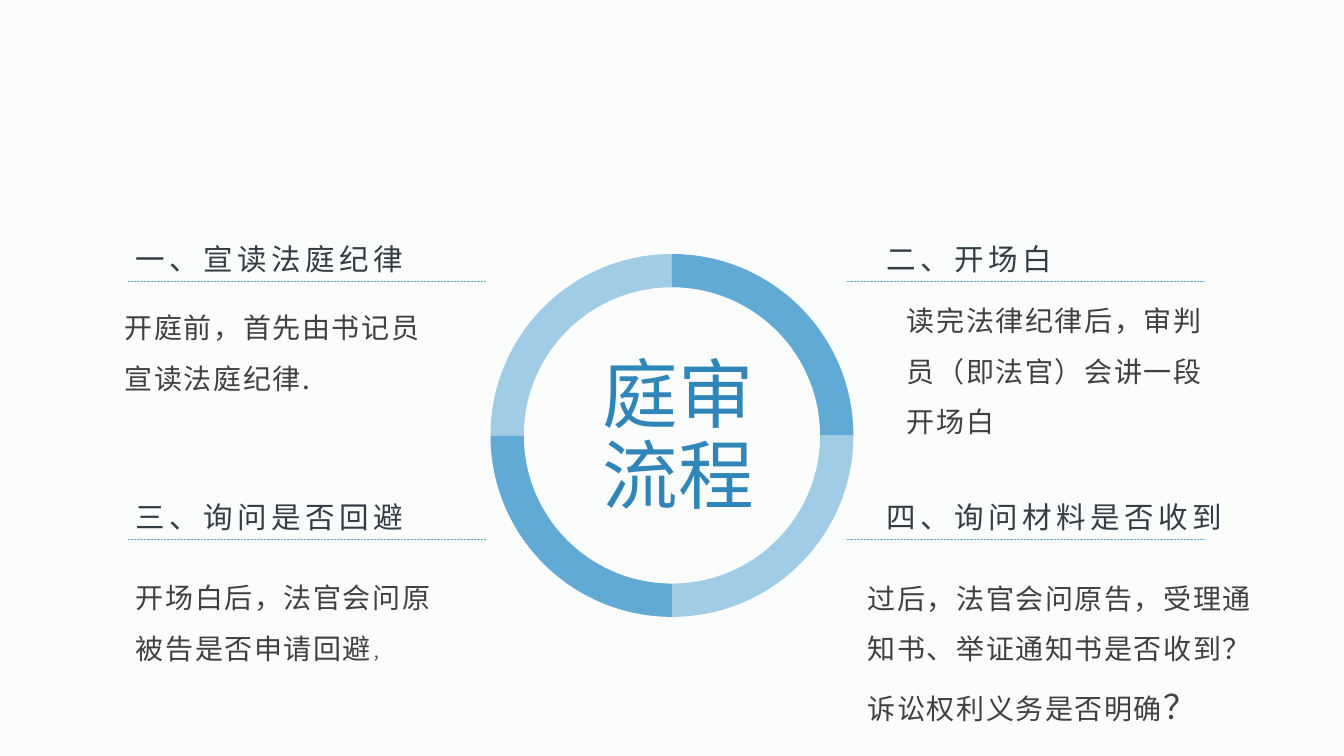
"""Build a slide showing the four steps of a court hearing around a ring."""
from math import cos, radians, sin

from lxml.etree import SubElement
from pptx import Presentation
from pptx.dml.color import RGBColor
from pptx.enum.dml import MSO_LINE
from pptx.enum.shapes import MSO_CONNECTOR
from pptx.enum.text import MSO_ANCHOR, MSO_AUTO_SIZE
from pptx.oxml.ns import qn
from pptx.util import Inches, Pt

FONT = "Noto Sans CJK SC"
BACKGROUND = RGBColor(0xFB, 0xFC, 0xFC)
HEADING = RGBColor(0x33, 0x3D, 0x43)
BODY = RGBColor(0x40, 0x40, 0x40)
BLUE = RGBColor(0x61, 0xAA, 0xD6)
PALE_BLUE = RGBColor(0xA0, 0xCC, 0xE6)
TITLE = RGBColor(0x30, 0x86, 0xB9)

SLIDE_WIDTH, SLIDE_HEIGHT = 40 / 3, 7.5
TITLE_LINES = [[("庭审", 54)], [("流程", 54)]]
TITLE_BOX = (5.88, 3.79, 10.86, 1.12)

STEPS = [
    {"heading": "一、宣读法庭纪律", "column": 0, "row": 0, "heading_width": 3.36,
     "body": [("开庭前，首先由书记员宣读法庭纪律.", 20)],
     "body_box": (1.14, 2.86, 3.26, 1.11)},
    {"heading": "二、开场白", "column": 1, "row": 0, "heading_width": 2.77,
     "body": [("读完法律纪律后，审判员（即法官）会讲一段开场白", 20)],
     "body_box": (8.9, 2.79, 3.26, 1.61)},
    {"heading": "三、询问是否回避", "column": 0, "row": 1, "heading_width": 3.26,
     "body": [("开场白后，法官会问原被告是否申请回避", 20), ("，", 11.1)],
     "body_box": (1.25, 5.54, 3.26, 1.11)},
    {"heading": "四、询问材料是否收到", "column": 1, "row": 1, "heading_width": 3.91,
     "body": [("过后，法官会问原告，受理通知书、举证通知书是否收到？诉讼权利义务是否明确", 20),
              ("？", 24)],
     "body_box": (8.51, 5.54, 4.09, 1.72)},
]
HEADING_LEFT = (1.25, 8.7)
HEADING_TOP = (2.34, 4.9)
HEADING_HEIGHT = 0.46
RULE_LEFT = (1.27, 8.4)
RULE_TOP = (2.79, 5.35)
RULE_WIDTH = 3.55

RING_CENTER = (SLIDE_WIDTH / 2, 4.32)
OUTER_RADIUS, INNER_RADIUS = 1.8, 1.47
QUADRANT_COLORS = (PALE_BLUE, BLUE, PALE_BLUE, BLUE)
CURVE_HANDLE = 4 / 3 * (2 ** 0.5 - 1)


def add_text(slide, box, lines, color, spacing=0, line_spacing=None, grow=True):
    """Add a text box whose lines are lists of (text, size) runs."""
    frame = slide.shapes.add_textbox(*map(Inches, box)).text_frame
    frame.word_wrap = True
    frame.vertical_anchor = MSO_ANCHOR.MIDDLE
    frame.auto_size = MSO_AUTO_SIZE.SHAPE_TO_FIT_TEXT if grow else MSO_AUTO_SIZE.NONE
    for index, line in enumerate(lines):
        paragraph = frame.add_paragraph() if index else frame.paragraphs[0]
        paragraph.line_spacing = line_spacing
        for text, size in line:
            run = paragraph.add_run()
            run.text = text
            run.font.size = Pt(size)
            run.font.color.rgb = color
            run.font.name = FONT
            properties = run._r.get_or_add_rPr()
            if spacing:
                properties.set("spc", str(round(spacing * 100)))
            SubElement(properties, qn("a:ea")).set("typeface", FONT)


def add_rule(slide, left, top):
    """Add the dotted rule below a heading."""
    rule = slide.shapes.add_connector(
        MSO_CONNECTOR.STRAIGHT, Inches(left), Inches(top),
        Inches(left + RULE_WIDTH), Inches(top))
    rule.line.color.rgb = BLUE
    rule.line.width = Pt(0.5)
    rule.line.dash_style = MSO_LINE.ROUND_DOT
    SubElement(rule._element.spPr, qn("a:effectLst"))


def quarter_curve(radius, start):
    """Return start, two handles and end of a clockwise quarter circle."""
    x, y = RING_CENTER
    across, down = cos(radians(start)), sin(radians(start))
    steps = ((1, 0), (1, CURVE_HANDLE), (CURVE_HANDLE, 1), (0, 1))
    return [(Inches(x + radius * (along * across - turn * down)),
             Inches(y + radius * (along * down + turn * across)))
            for along, turn in steps]


def bend(segments):
    """Merge three straight segments into one Bezier curve."""
    curve = segments[0].makeelement(qn("a:cubicBezTo"))
    segments[0].addprevious(curve)
    for segment in segments:
        curve.append(segment[0])
        segment.getparent().remove(segment)


def add_quadrant(slide, start, color):
    """Add one quarter of the ring."""
    outline = quarter_curve(OUTER_RADIUS, start) + quarter_curve(INNER_RADIUS, start)[::-1]
    builder = slide.shapes.build_freeform(*outline[0])
    builder.add_line_segments(outline[1:], close=True)
    quadrant = builder.convert_to_shape()
    segments = list(quadrant._element.iter(qn("a:lnTo")))
    bend(segments[:3])
    bend(segments[4:7])
    quadrant.shadow.inherit = False
    quadrant.fill.solid()
    quadrant.fill.fore_color.rgb = color
    quadrant.line.fill.background()


def main():
    """Build and save the slide."""
    presentation = Presentation()
    presentation.slide_width = Inches(SLIDE_WIDTH)
    presentation.slide_height = Inches(SLIDE_HEIGHT)
    slide = presentation.slides.add_slide(presentation.slide_layouts[6])
    slide.background.fill.solid()
    slide.background.fill.fore_color.rgb = BACKGROUND

    for index, color in enumerate(QUADRANT_COLORS):
        add_quadrant(slide, index * 90, color)
    for step in STEPS:
        column, row = step["column"], step["row"]
        heading_box = (HEADING_LEFT[column], HEADING_TOP[row],
                       step["heading_width"], HEADING_HEIGHT)
        add_text(slide, heading_box, [[(step["heading"], 21.1)]], HEADING, spacing=3.2)
        add_rule(slide, RULE_LEFT[column], RULE_TOP[row])
        add_text(slide, step["body_box"], [step["body"]], BODY,
                 spacing=1.1, line_spacing=1.5)
    add_text(slide, TITLE_BOX, TITLE_LINES, TITLE, line_spacing=0.9, grow=False)
    presentation.save("out.pptx")


if __name__ == "__main__":
    main()
